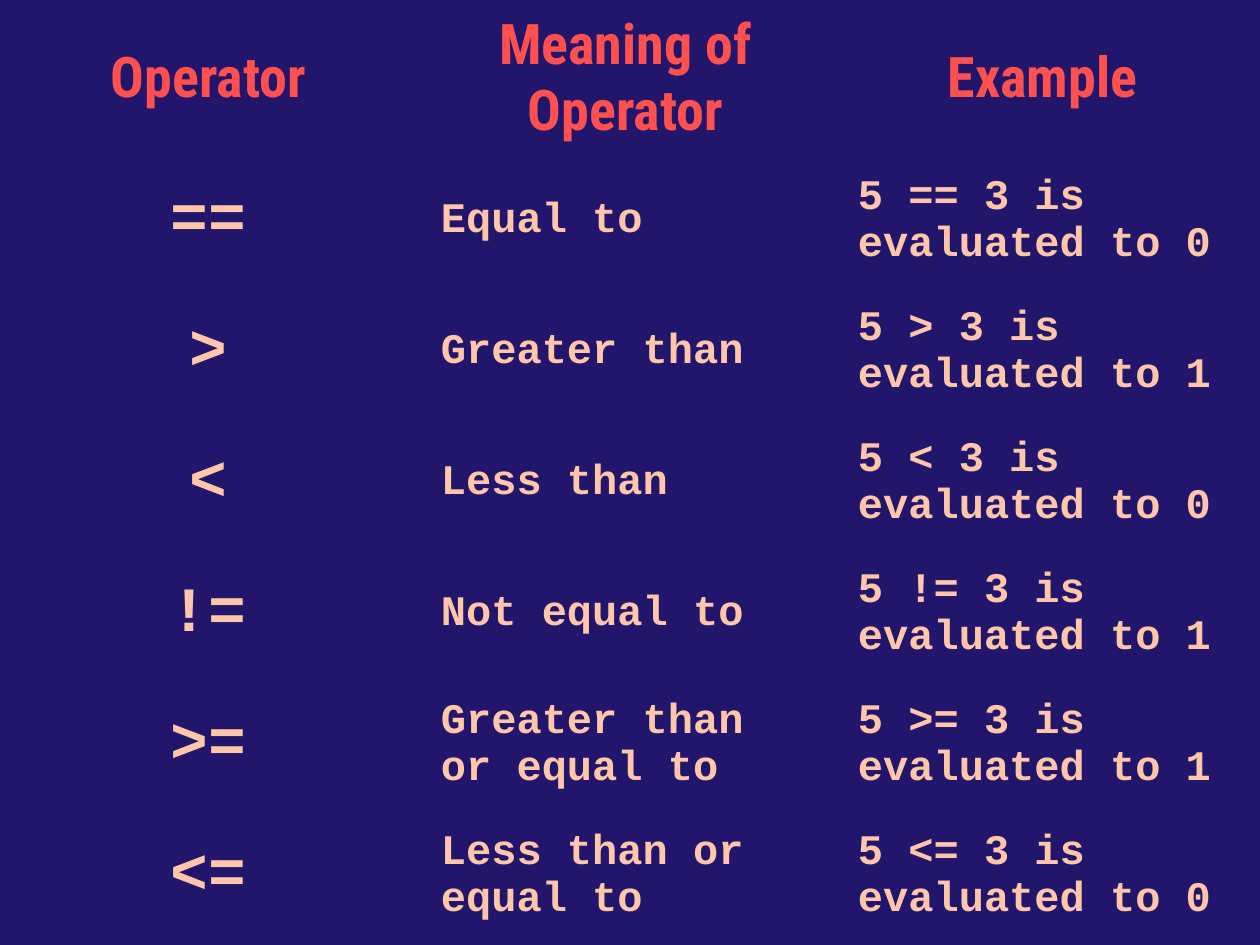
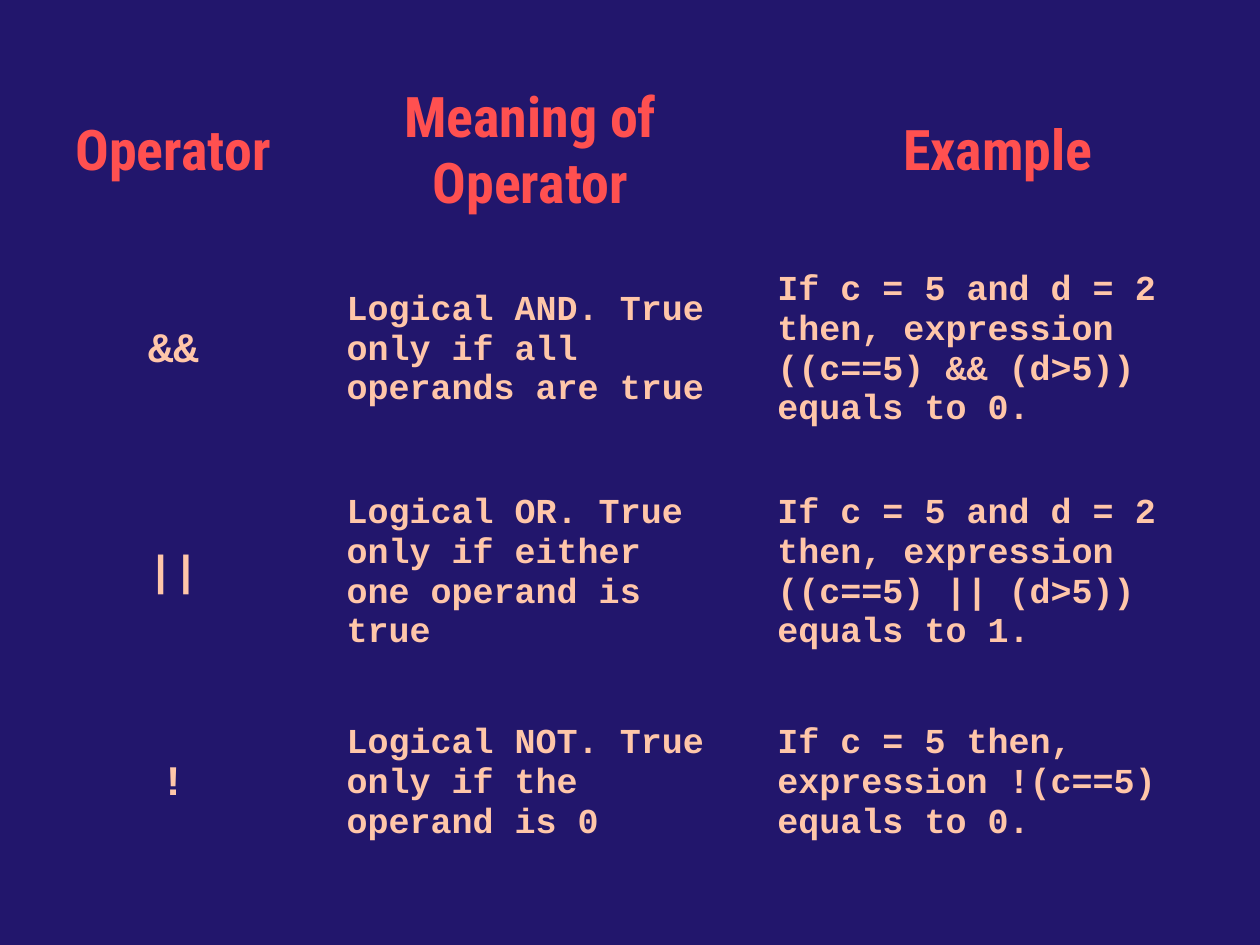
from dataclasses import dataclass

from pptx import Presentation
from pptx import util as u
from pptx.dml.color import RGBColor
from pptx.enum import text
from pptx.oxml import ns
from lxml import etree


@dataclass(frozen=True)
class Theme:
    background: RGBColor = RGBColor.from_string("22166C")
    heading: RGBColor = RGBColor.from_string("FF5050")
    body: RGBColor = RGBColor.from_string("FFC6A9")
    heading_font: str = "Roboto Condensed"
    code_font: str = "Courier New"
    heading_size: int = 32


THEME = Theme()
HEADINGS = ("Operator", "Meaning of Operator", "Example")
TIGHT = (0.19, 0.09)
ROOMY = (0.25, 0.12)

RELATIONAL = [
    (symbol, meaning, f"5 {symbol} 3 is evaluated to {result}")
    for symbol, meaning, result in (
        ("==", "Equal to", 0),
        (">", "Greater than", 1),
        ("<", "Less than", 0),
        ("!=", "Not equal to", 1),
        (">=", "Greater than or equal to", 1),
        ("<=", "Less than or equal to", 0),
    )
]
LOGICAL = [
    ("&&", "Logical AND. True only if all operands are true",
     "If c = 5 and d = 2 then, expression ((c==5) && (d>5)) equals to 0."),
    ("||", "Logical OR. True only if either one operand is true",
     "If c = 5 and d = 2 then, expression ((c==5) || (d>5)) equals to 1."),
    ("!", "Logical NOT. True only if the operand is 0",
     "If c = 5 then, expression !(c==5) equals to 0."),
]


def write(cell, wording, *, size, font=THEME.code_font, color=THEME.body,
          align=text.PP_ALIGN.CENTER):
    paragraph = cell.text_frame.paragraphs[0]
    paragraph.alignment = align
    run = paragraph.add_run()
    run.text = wording
    run.font.name = font
    run.font.size = u.Pt(size)
    run.font.bold = True
    run.font.color.rgb = color


def clear_cell(cell, insets):
    cell.vertical_anchor = text.MSO_ANCHOR.MIDDLE
    side, edge = (u.Inches(inset) for inset in insets)
    cell.margin_left = cell.margin_right = side
    cell.margin_top = cell.margin_bottom = edge
    properties = cell._tc.get_or_add_tcPr()
    for border in ("a:lnL", "a:lnR", "a:lnT", "a:lnB"):
        line = etree.SubElement(properties, ns.qn(border))
        etree.SubElement(line, ns.qn("a:noFill"))
    cell.fill.background()


def add_slide(deck):
    slide = deck.slides.add_slide(deck.slide_layouts[6])
    slide.background.fill.solid()
    slide.background.fill.fore_color.rgb = THEME.background
    return slide


def add_operator_table(slide, operators, *, left, top, widths, heights,
                       symbol_size, text_size, text_insets):
    table = slide.shapes.add_table(
        len(heights), len(widths), u.Inches(left), u.Inches(top),
        u.Inches(sum(widths)), u.Inches(sum(heights))).table
    table.first_row = table.horz_banding = False
    for column, width in zip(table.columns, widths):
        column.width = u.Inches(width)
    for row, height in zip(table.rows, heights):
        row.height = u.Inches(height)

    for index, heading in enumerate(HEADINGS):
        cell = table.cell(0, index)
        clear_cell(cell, TIGHT)
        write(cell, heading, size=THEME.heading_size,
              font=THEME.heading_font, color=THEME.heading)

    for row_index, operator in enumerate(operators, start=1):
        for index, wording in enumerate(operator):
            cell = table.cell(row_index, index)
            if index == 0:
                clear_cell(cell, TIGHT)
                write(cell, wording, size=symbol_size)
            else:
                clear_cell(cell, text_insets)
                write(cell, wording, size=text_size,
                      align=text.PP_ALIGN.LEFT)


def main():
    deck = Presentation()
    deck.slide_width, deck.slide_height = u.Inches(10), u.Inches(7.5)
    add_operator_table(
        add_slide(deck), RELATIONAL, left=0, top=0,
        widths=[3.31] * 3, heights=[1.24] + [1.04] * len(RELATIONAL),
        symbol_size=36, text_size=24, text_insets=TIGHT)
    add_operator_table(
        add_slide(deck), LOGICAL, left=0.25, top=0.5,
        widths=[2.25, 3.42, 4], heights=[1.4, 1.77, 1.77, 1.57],
        symbol_size=24, text_size=20, text_insets=ROOMY)
    deck.save("out.pptx")


if __name__ == "__main__":
    main()
